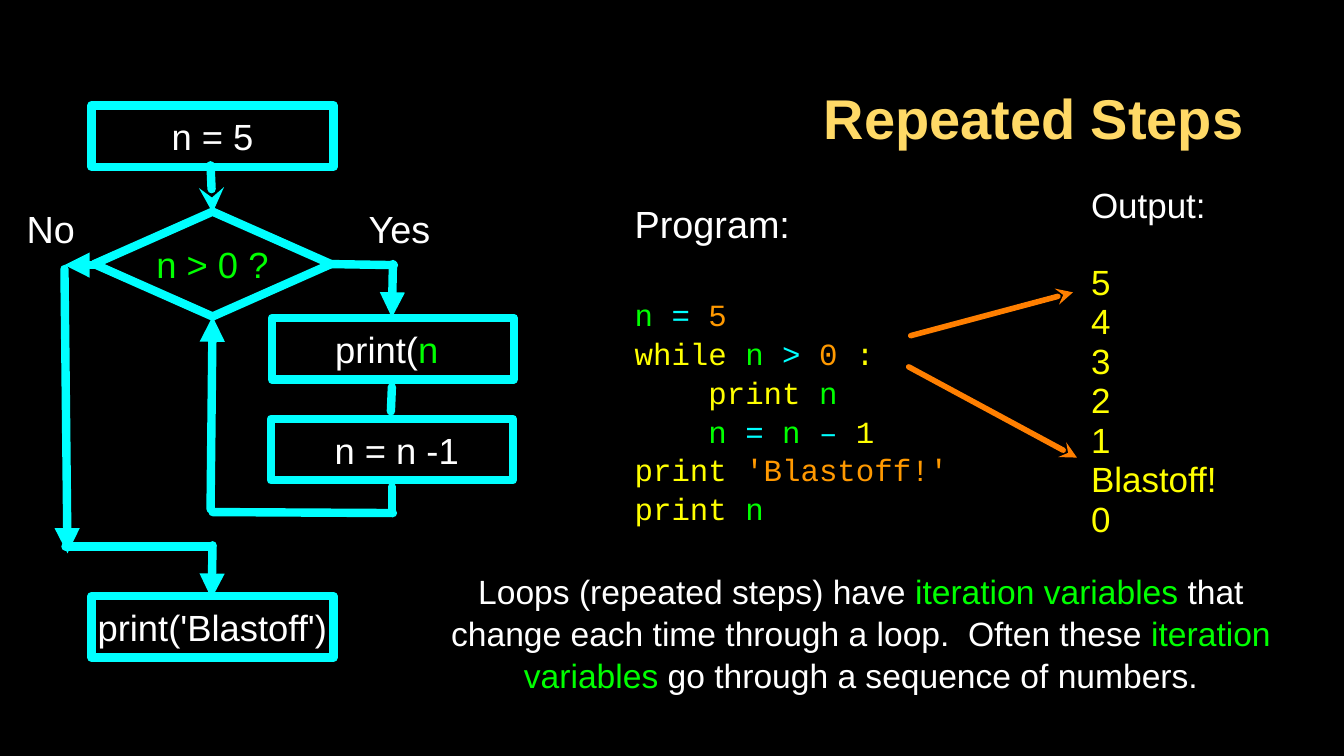
"""Build the "Repeated Steps" slide: a loop flowchart, its program and its output."""
from lxml import etree
from pptx import Presentation
from pptx.dml.color import RGBColor
from pptx.enum.shapes import MSO_CONNECTOR, MSO_SHAPE
from pptx.enum.text import MSO_ANCHOR, PP_ALIGN
from pptx.oxml.ns import qn
from pptx.util import Inches, Pt

LEFT, CENTER, RIGHT = PP_ALIGN.LEFT, PP_ALIGN.CENTER, PP_ALIGN.RIGHT
MIDDLE = MSO_ANCHOR.MIDDLE
STRAIGHT = MSO_CONNECTOR.STRAIGHT
RECTANGLE, DIAMOND = MSO_SHAPE.RECTANGLE, MSO_SHAPE.DIAMOND

BLACK = RGBColor(0x00, 0x00, 0x00)
WHITE = RGBColor(0xFF, 0xFF, 0xFF)
GOLD = RGBColor(0xFF, 0xD9, 0x66)
CYAN = RGBColor(0x00, 0xFF, 0xFF)
GREEN = RGBColor(0x00, 0xFF, 0x00)
YELLOW = RGBColor(0xFF, 0xFF, 0x00)
AMBER = RGBColor(0xFF, 0x99, 0x00)
ORANGE = RGBColor(0xFF, 0x7F, 0x00)

STEP_W, STEP_H = 2.4, 0.61
MAIN_X, LOOP_X, EXIT_X = 2.11, 3.89, 0.65
TEST_Y, RETURN_Y, EXIT_Y = 2.62, 5.08, 5.42


def write(shape, paragraphs, align, size, font="Arial", spacing=1.0, insets=(0, 0, 0, 0), bold=False):
    """Fill a shape with paragraphs of (text, colour) runs."""
    frame = shape.text_frame
    sides = ("margin_left", "margin_top", "margin_right", "margin_bottom")
    settings = dict(zip(sides, map(Inches, insets)), word_wrap=True, vertical_anchor=MIDDLE)
    for name, value in settings.items():
        setattr(frame, name, value)
    for index, runs in enumerate(paragraphs):
        paragraph = frame.add_paragraph() if index else frame.paragraphs[0]
        paragraph.alignment = align
        paragraph.line_spacing = spacing
        for text, color in runs:
            run = paragraph.add_run()
            run.text = text
            for name, value in {"size": Pt(size), "name": font, "bold": bold}.items():
                setattr(run.font, name, value)
            run.font.color.rgb = color
    return frame.paragraphs


def outline(shape, color, width, arrow=None):
    """Give a shape or connector a round line and, if asked, an arrowhead at its end."""
    shape.line.color.rgb = color
    shape.line.width = Pt(width)
    line = shape.line._get_or_add_ln()
    line.set("cap", "rnd")
    etree.SubElement(line, qn("a:round"))
    if arrow:
        etree.SubElement(line, qn("a:tailEnd"), type=arrow)


deck = Presentation()
deck.slide_width, deck.slide_height = Inches(13.34), Inches(7.5)
slide = deck.slides.add_slide(deck.slide_layouts[5])
slide.background.fill.solid()
slide.background.fill.fore_color.rgb = BLACK

heading = slide.shapes.title
heading.left, heading.top, heading.width, heading.height = map(Inches, (3.88, 0.67, 8.49, 0.98))
write(heading, [[("Repeated Steps", GOLD)]], RIGHT, 40, insets=(0.03,) * 4, bold=True)

steps = [
    (DIAMOND, MAIN_X, TEST_Y, 2.35, 1.04, [("n > 0 ?", GREEN)], (0, 0, 0, 0)),
    (RECTANGLE, MAIN_X, 1.35, STEP_W, STEP_H, [("n = 5", WHITE)], (0, 0, 0, 0)),
    (RECTANGLE, 3.9, 3.46, STEP_W, STEP_H, [("print(", WHITE), ("n", GREEN)], (0, 0, 0.12, 0)),
    (RECTANGLE, LOOP_X, 4.46, STEP_W, STEP_H, [("n = n -1", WHITE)], (0.1, 0, 0, 0)),
    (RECTANGLE, MAIN_X, 6.22, STEP_W, STEP_H, [("print('Blastoff')", WHITE)], (0, 0, 0, 0)),
]
for kind, center_x, center_y, width, height, runs, insets in steps:
    corner = center_x - width / 2, center_y - height / 2
    step = slide.shapes.add_shape(kind, *map(Inches, (*corner, width, height)))
    step.shadow.inherit = False
    step.fill.background()
    outline(step, CYAN, 6)
    write(step, [runs], CENTER, 26, insets=insets)

flows = [
    (2.09, 1.64, MAIN_X, 2.11, CYAN, 6, "stealth"),
    (3.28, TEST_Y, 3.91, 2.63, CYAN, 6, None),
    (3.9, TEST_Y, LOOP_X, 3.15, CYAN, 6, "triangle"),
    (LOOP_X, 3.84, 3.88, 4.08, CYAN, 6, None),
    (LOOP_X, 4.83, LOOP_X, RETURN_Y, CYAN, 6, None),
    (3.9, 5.09, MAIN_X, RETURN_Y, CYAN, 6, None),
    (2.09, 5.05, MAIN_X, 3.14, CYAN, 6, "triangle"),
    (0.97, 2.63, 0.64, 2.63, CYAN, 6, "triangle"),
    (0.64, 2.67, 0.67, 5.49, CYAN, 6, "triangle"),
    (EXIT_X, EXIT_Y, 2.09, EXIT_Y, CYAN, 6, None),
    (MAIN_X, 5.41, 2.1, 5.94, CYAN, 6, "triangle"),
    (9.04, 3.33, 10.65, 2.9, ORANGE, 4, "stealth"),
    (9.02, 3.64, 10.69, 4.54, ORANGE, 4, "stealth"),
]
for *ends, color, width, arrow in flows:
    flow = slide.shapes.add_connector(STRAIGHT, *map(Inches, ends))
    outline(flow, color, width, arrow)
    etree.SubElement(flow._element.spPr, qn("a:effectLst"))

for answer, left, width in (("No", 0.21, 0.59), ("Yes", 3.59, 0.75)):
    branch = slide.shapes.add_textbox(*map(Inches, (left, 2.01, width, 0.51)))
    write(branch, [[(answer, WHITE)]], CENTER, 27)

code = [
    [("n ", GREEN), ("= ", CYAN), ("5", AMBER)],
    [("while ", YELLOW), ("n ", GREEN), ("> ", CYAN), ("0", AMBER), (" :", YELLOW)],
    [("    print ", YELLOW), ("n", GREEN)],
    [("    n ", GREEN), ("= ", CYAN), ("n ", GREEN), ("–", CYAN), (" 1", YELLOW)],
    [("print ", YELLOW), ("'Blastoff!'", AMBER)],
    [("print ", YELLOW), ("n", GREEN)],
]
program = slide.shapes.add_textbox(*map(Inches, (6.3, 1.78, 3.47, 3.64)))
program_lines = write(program, [[("Program:", WHITE)], *code], LEFT, 22, "Courier New", 1.05)
caption = program_lines[0].runs[0].font
caption.name, caption.size = "Arial", Pt(27)
program_lines[1].space_before = Pt(34)

printed = [[(value, YELLOW)] for value in ("5", "4", "3", "2", "1", "Blastoff!", "0")]
output = slide.shapes.add_textbox(*map(Inches, (10.83, 1.64, 1.42, 3.93)))
output_lines = write(output, [[("Output:", WHITE)], *printed], LEFT, 25, spacing=0.94)
output_lines[1].space_before = Pt(27)

summary = slide.shapes.add_textbox(*map(Inches, (4.19, 5.59, 8.71, 1.36)))
write(summary, [[
    ("Loops (repeated steps) have ", WHITE),
    ("iteration variables ", GREEN),
    ("that change each time through a loop.  Often these ", WHITE),
    ("iteration variables ", GREEN),
    ("go through a sequence of numbers.", WHITE),
]], CENTER, 24, spacing=1.05)

deck.save("out.pptx")
